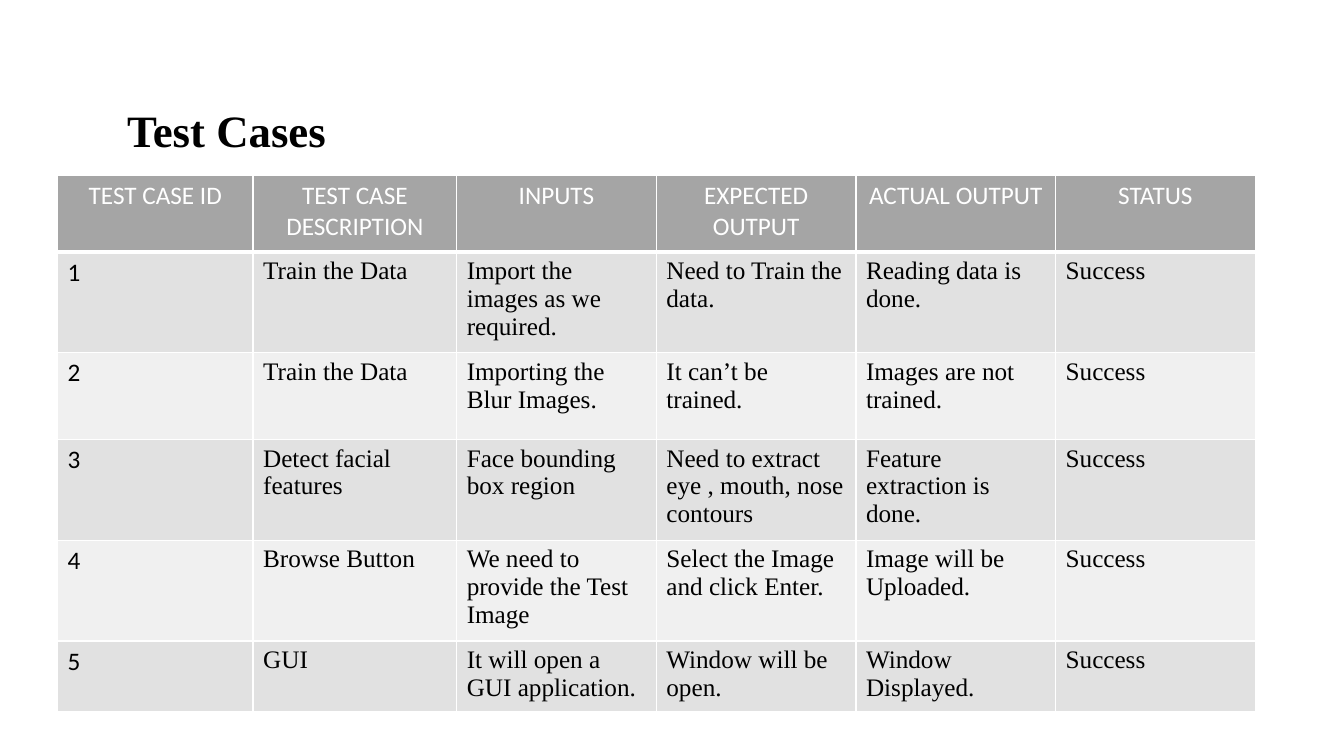
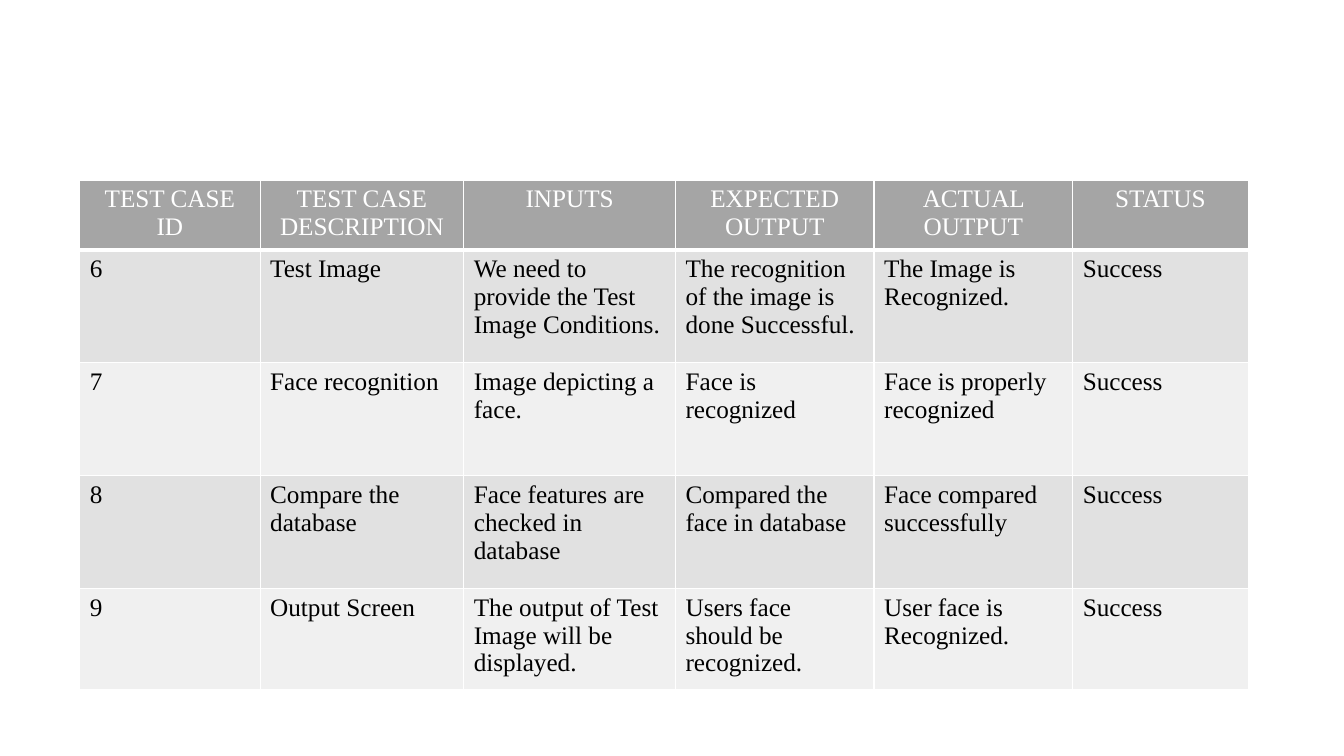
from pptx import Presentation
from pptx.dml.color import RGBColor
from pptx.enum.text import MSO_ANCHOR as Anchor, MSO_AUTO_SIZE as AutoSize, PP_ALIGN as Align
from pptx.oxml.ns import qn
from pptx.util import Inches, Pt
from lxml.etree import SubElement

# Shared look
SERIF, SANS = "Times New Roman", "Calibri"
WHITE, BLACK = "FFFFFF", "000000"
HEADER_FILL = "A5A5A5"
BAND_FILLS = ["E1E1E1", "F0F0F0"]
TITLE_STYLE = {"name": SERIF, "size": Pt(32), "bold": True}
CELL_STYLE = {"size": Pt(18), "bold": False}
TITLE_ONLY, BLANK = 5, 6

HEADINGS = ["TEST CASE ID", "TEST CASE DESCRIPTION", "INPUTS",
            "EXPECTED OUTPUT", "ACTUAL OUTPUT", "STATUS"]

# Each case: description, inputs, expected output, actual output
FIRST_CASES = [
    ["Train the Data", "Import the images as we required.",
     "Need to Train the data.", "Reading data is done."],
    ["Train the Data", "Importing the Blur Images.",
     "It can’t be trained.", "Images are not trained."],
    ["Detect facial features", "Face bounding box region",
     "Need to extract eye , mouth, nose contours", "Feature extraction is done."],
    ["Browse Button", "We need to provide the Test Image",
     "Select the Image and click Enter.", "Image will be Uploaded."],
    ["GUI", "It will open a GUI application.",
     "Window will be open.", "Window Displayed."],
]
LAST_CASES = [
    ["Test Image", "We need to provide the Test Image Conditions.",
     "The recognition of the image is done Successful.", "The Image is Recognized."],
    ["Face recognition", "Image depicting a face.",
     "Face is recognized", "Face is properly recognized"],
    ["Compare the database", "Face features are checked in database",
     "Compared the face in database", "Face compared successfully"],
    ["Output Screen", "The output of Test Image will be displayed.",
     "Users face should be recognized.", "User face is Recognized."],
]


def color(value):
    return RGBColor.from_string(value)


def write(frame, text, style, text_color, align):
    para = frame.paragraphs[0]
    para.alignment = align
    span = para.add_run()
    span.text = text
    for name, value in style.items():
        setattr(span.font, name, value)
    span.font.color.rgb = color(text_color)


def set_borders(cell, bottom_width):
    """White rules on all sides; they must precede the cell fill."""
    properties = cell._tc.get_or_add_tcPr()
    widths = {"a:lnL": 1, "a:lnR": 1, "a:lnT": 1, "a:lnB": bottom_width}
    for tag, width in widths.items():
        line = SubElement(properties, qn(tag), w=str(Pt(width)))
        fill = SubElement(line, qn("a:solidFill"))
        SubElement(fill, qn("a:srgbClr"), val=WHITE)


def add_title(page, text, box):
    title = page.shapes.title
    title.left, title.top, title.width, title.height = map(Inches, box)
    frame = title.text_frame
    frame.auto_size = AutoSize.NONE
    frame.vertical_anchor = Anchor.TOP
    write(frame, text, TITLE_STYLE, BLACK, Align.JUSTIFY)


def add_case_table(page, cases, first_id, corner, widths, heights, header_font, id_font):
    rows = [HEADINGS]
    rows += [[str(number), *case, "Success"] for number, case in enumerate(cases, first_id)]
    left, top = corner
    table = page.shapes.add_table(
        len(rows), len(HEADINGS), Inches(left), Inches(top),
        Inches(sum(widths)), Inches(sum(heights))).table
    for column, width in zip(table.columns, widths):
        column.width = Inches(width)
    for row, height in zip(table.rows, heights):
        row.height = Inches(height)

    for r, texts in enumerate(rows):
        header = r == 0
        for c, text in enumerate(texts):
            cell = table.cell(r, c)
            set_borders(cell, 3 if header else 1)
            cell.fill.solid()
            cell.fill.fore_color.rgb = color(HEADER_FILL if header else BAND_FILLS[(r - 1) % 2])
            font = header_font if header else id_font if c == 0 else SERIF
            write(cell.text_frame, text, {"name": font, **CELL_STYLE},
                  WHITE if header else BLACK, Align.CENTER if header else Align.LEFT)


def main():
    deck = Presentation()
    deck.slide_width, deck.slide_height = Inches(13.33), Inches(7.5)

    # Cases 1 to 5, with the title
    page = deck.slides.add_slide(deck.slide_layouts[TITLE_ONLY])
    add_title(page, "Test Cases", (1.16, 0.97, 6.87, 0.64))
    add_case_table(page, FIRST_CASES, 1, (0.57, 1.74),
                   [1.94, 2.02] + [1.98] * 4, [0.76, 1, 0.86, 1, 1, 0.7], SANS, SANS)

    # Cases 6 to 9
    page = deck.slides.add_slide(deck.slide_layouts[BLANK])
    add_case_table(page, LAST_CASES, 6, (0.79, 1.79),
                   [1.79, 2.02, 2.1, 1.97, 1.97, 1.74], [0.69] + [1.12] * 3 + [1], SERIF, SERIF)

    deck.save("out.pptx")


if __name__ == "__main__":
    main()
